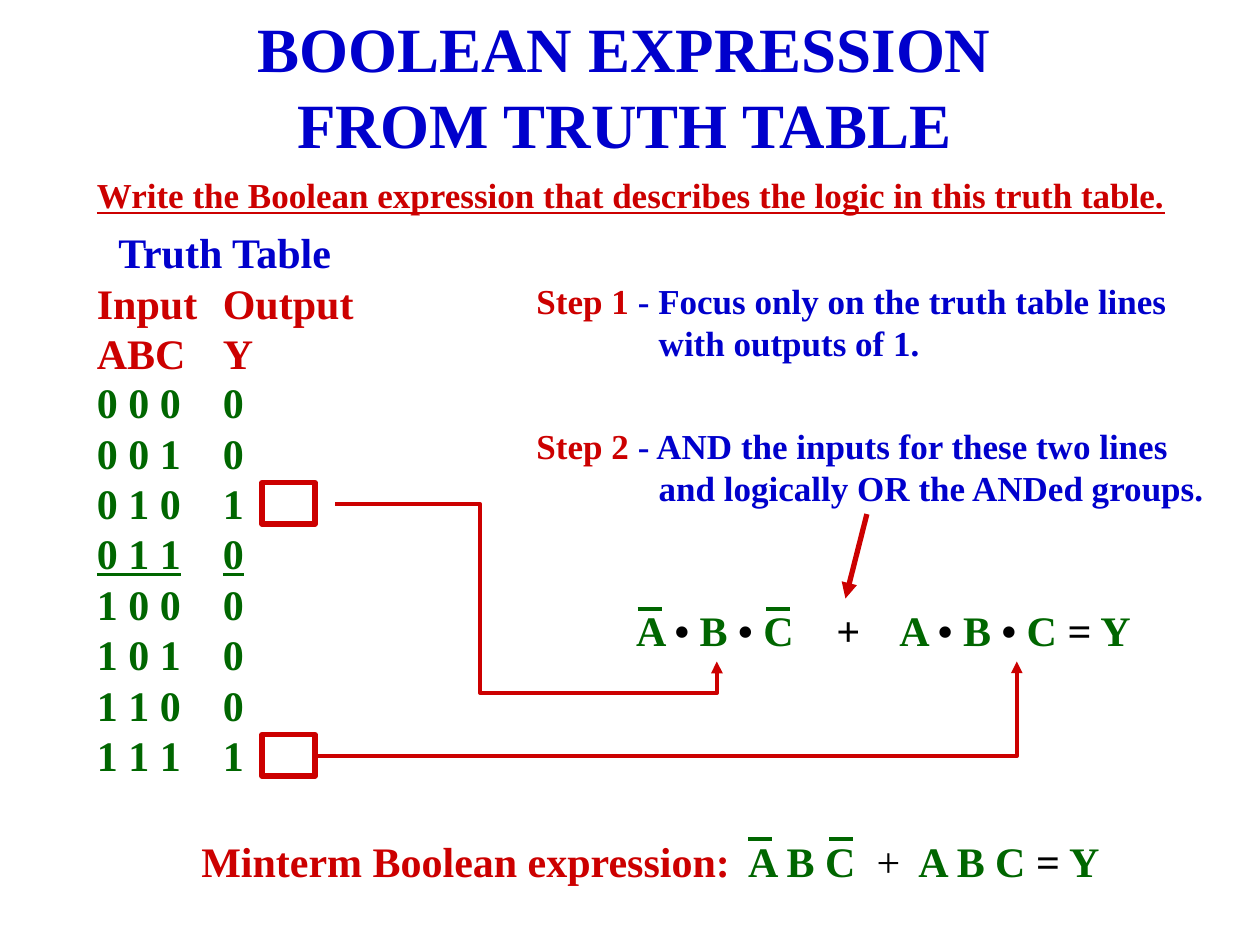
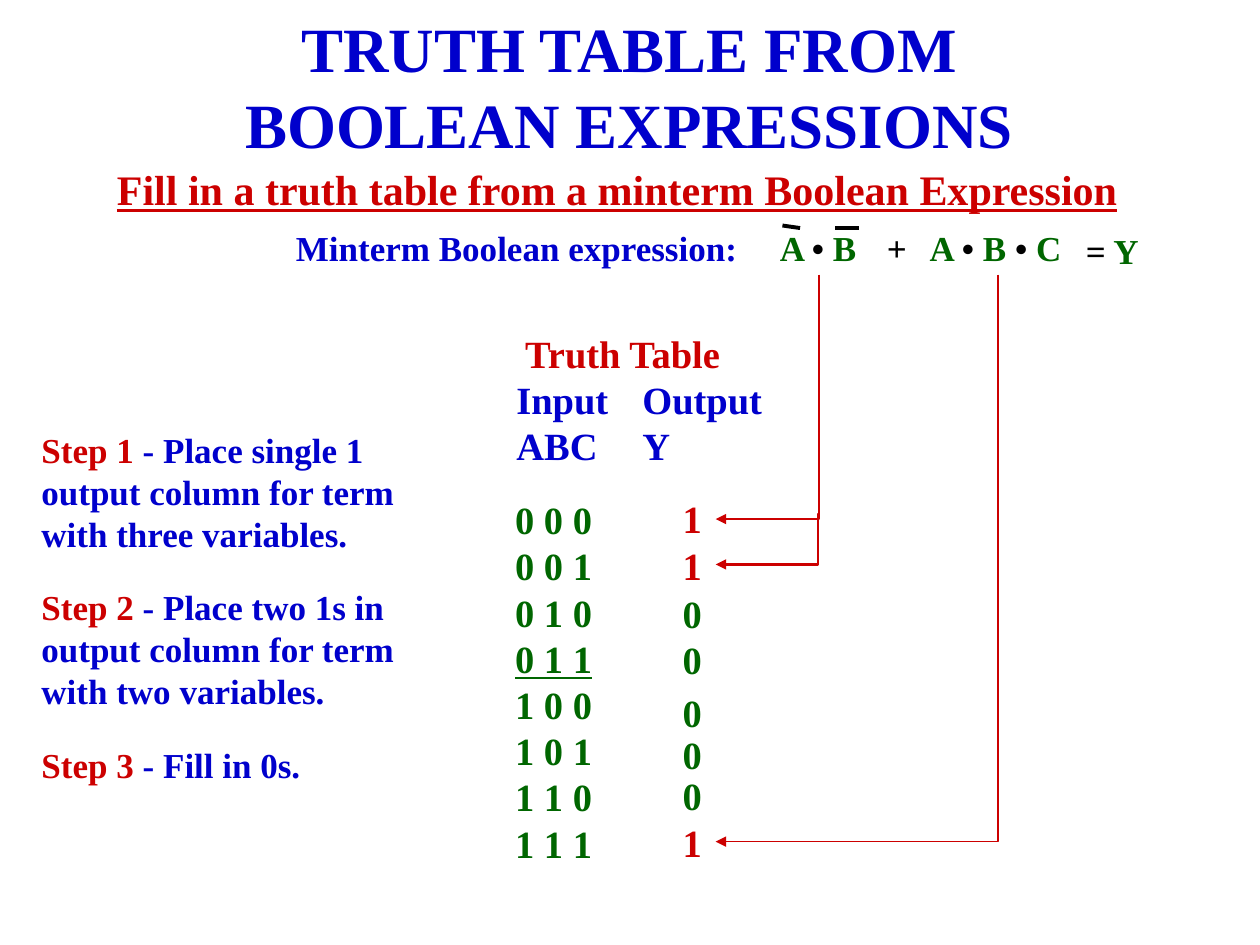
from itertools import product

from lxml import etree
from pptx import Presentation
from pptx.dml.color import RGBColor
from pptx.enum.shapes import MSO_CONNECTOR, MSO_SHAPE
from pptx.enum.text import MSO_AUTO_SIZE, PP_ALIGN
from pptx.oxml.ns import qn
from pptx.util import Inches, Pt

FONT = "Times New Roman"
BLUE, RED, GREEN, BLACK = "0000CC", "CC0000", "006600", "000000"
LEFT, CENTER = PP_ALIGN.LEFT, PP_ALIGN.CENTER
STRAIGHT, ELBOW = MSO_CONNECTOR.STRAIGHT, MSO_CONNECTOR.ELBOW
RECTANGLE = MSO_SHAPE.RECTANGLE
GROW = MSO_AUTO_SIZE.SHAPE_TO_FIT_TEXT
INPUTS = [" ".join(bits) for bits in product("01", repeat=3)]
UNDERLINED_ROW = 3


def rgb(value):
    return RGBColor.from_string(value)


def add_text(page, box, content, size=24, color=BLUE, bold=True, underline=False,
             align=LEFT, wrap=False, hang=0):
    """Content is a string, or a list of (text, color) spans."""
    frame = add_frame(page, box, wrap)
    spans = [(content, color)] if isinstance(content, str) else content
    write_para(frame.paragraphs[0], spans, size, bold, underline, align, left=hang, first=-hang)


def add_frame(page, box, wrap):
    frame = page.shapes.add_textbox(*map(Inches, box)).text_frame
    frame.word_wrap = wrap
    frame.auto_size = GROW
    return frame


def write_para(para, spans, size, bold=True, underline=False, align=LEFT,
               left=0, first=0, tab=None):
    para.alignment = align
    properties = para._p.get_or_add_pPr()
    properties.set("marL", str(Inches(left)))
    properties.set("indent", str(Inches(first)))
    if tab:
        stops = etree.SubElement(properties, qn("a:tabLst"))
        etree.SubElement(stops, qn("a:tab"), pos=str(Inches(tab)), algn="l")
    for text, color in spans:
        span = para.add_run()
        span.text = text
        span.font.name = FONT
        span.font.size = Pt(size)
        span.font.bold = bold
        span.font.underline = underline
        span.font.color.rgb = rgb(color)


def add_lines(page, box, lines, size, color):
    frame = add_frame(page, box, True)
    for index, (text, options) in enumerate(lines):
        para = frame.paragraphs[0] if index == 0 else frame.add_paragraph()
        write_para(para, [(text, options.pop("color", color))], size, **options)


def add_line(page, start, end, color=RED, width=2.25, kind=STRAIGHT, arrow=False):
    line = page.shapes.add_connector(kind, *map(Inches, (*start, *end)))
    line.line.color.rgb = rgb(color)
    line.line.width = Pt(width)
    properties = line._element.spPr
    if arrow:
        etree.SubElement(properties.find(qn("a:ln")), qn("a:tailEnd"), type="triangle")
    etree.SubElement(properties, qn("a:effectLst"))
    return line


def add_elbow(page, start, end, preset, width=2.25, turns=0, adjust=()):
    middle_x, middle_y = (start[0] + end[0]) / 2, (start[1] + end[1]) / 2
    half_x, half_y = start[0] - middle_x, start[1] - middle_y
    for _ in range(turns):
        half_x, half_y = half_y, -half_x
    line = add_line(page, (middle_x + half_x, middle_y + half_y),
                    (middle_x - half_x, middle_y - half_y), width=width, kind=ELBOW, arrow=True)
    properties = line._element.spPr
    if turns:
        properties.find(qn("a:xfrm")).set("rot", str(turns * 90 * 60000))
    geometry = properties.find(qn("a:prstGeom"))
    geometry.set("prst", preset)
    guides = geometry.find(qn("a:avLst"))
    for number, share in enumerate(adjust, 1):
        etree.SubElement(guides, qn("a:gd"), name=f"adj{number}" if len(adjust) > 1 else "adj1",
                         fmla=f"val {round(share * 100000)}")


def add_title(page, left, width, title):
    add_text(page, (left, 0.03, width, 1.3), title, size=36, align=CENTER, wrap=True)


def add_step(page, box, label, text, hang=0):
    add_text(page, box, [(label + " ", RED), (text, BLUE)], size=20, wrap=True, hang=hang)


def add_term(page, box, term, size=24, bold=True):
    spans = [(mark, BLACK if mark in "•+=" else GREEN) for mark in term]
    add_text(page, box, spans, size=size, bold=bold)


def add_bar(page, left, top, color, length=0.19, drop=0):
    add_line(page, (left, top), (left + length, top + drop), color=color)


def add_table_head(page, box, size, caption_color, head_color, indent, output_tab, y_tab):
    lines = [("Truth Table", {"left": indent, "color": caption_color}),
             ("Input\tOutput", {"tab": output_tab}),
             ("ABC\tY", {"tab": y_tab})]
    add_lines(page, box, lines, size, head_color)


def add_table_rows(page, box, size, outputs, tab):
    lines = []
    for index, (bits, output) in enumerate(zip(INPUTS, outputs)):
        underline = index == UNDERLINED_ROW
        text = f"{bits}\t{output}" if output or underline else bits
        lines.append((text, {"tab": tab, "underline": underline}))
    add_lines(page, box, lines, size, GREEN)


def add_output_frame(page, top):
    frame = page.shapes.add_shape(RECTANGLE, *map(Inches, (2.08, top, 0.42, 0.33)))
    frame.shadow.inherit = False
    frame.fill.background()
    frame.line.color.rgb = rgb(RED)
    frame.line.width = Pt(3)


def add_anded_groups(page, left, top):
    add_term(page, (left, top, 1.47, 0.5), "A • B • C")
    add_term(page, (left + 2.09, top, 2.06, 0.5), "A • B • C = Y")
    add_term(page, (left + 1.59, top, 0.39, 0.5), "+")
    for offset in (0.11, 1.13):
        add_bar(page, left + offset, top + 0.08, GREEN)


def add_minterm_line(page, left, top):
    add_text(page, (left, top, 4.4, 0.5), "Minterm Boolean expression:", color=RED)
    add_term(page, (left + 4.34, top, 1.07, 0.5), "A B C")
    add_term(page, (left + 5.69, top, 1.67, 0.5), "A B C = Y")
    add_term(page, (left + 5.36, top, 0.39, 0.5), "+", bold=False)
    for offset in (4.44, 5.08):
        add_bar(page, left + offset, top + 0.08, GREEN)


def add_given_expression(page, left, top):
    add_text(page, (left, top, 3.71, 0.44), "Minterm Boolean expression:", size=20)
    terms = [(3.84, 0, 0.82, "A • B"), (4.69, 0, 0.36, "+"),
             (5.03, 0, 1.28, "A • B • C"), (6.27, 0.02, 0.63, "= Y")]
    for offset, drop, width, term in terms:
        add_term(page, (left + offset, top + drop, width, 0.44), term, size=20)
    add_bar(page, left + 3.96, top + 0.04, BLACK, length=0.14, drop=0.02)
    add_bar(page, left + 4.38, top + 0.06, BLACK)


def add_outputs(page, left, outputs, tops):
    for output, top in zip(outputs, tops):
        color = RED if output == "1" else GREEN
        add_text(page, (left, top, 0.35, 0.47), output, size=22, color=color)


def build_expression_slide(page):
    add_title(page, 1.56, 6.79, "BOOLEAN EXPRESSION FROM TRUTH TABLE")
    add_text(page, (0.67, 1.33, 8.75, 0.44),
             "Write the Boolean expression that describes the logic in this truth table.",
             size=20, color=RED, underline=True, wrap=True)
    add_table_head(page, (0.67, 1.75, 2.35, 1.3), 24, BLUE, RED, 0.17, 1.05, 1.36)
    add_table_rows(page, (0.67, 2.94, 1.86, 3.3), 24, "00100001", 1.41)
    for top in (3.83, 5.83):
        add_output_frame(page, top)
    add_step(page, (4.16, 2.17, 5.53, 0.77), "Step 1",
             "- Focus only on the truth table lines with outputs of 1.", hang=0.97)
    add_step(page, (4.16, 3.32, 5.53, 0.77), "Step 2",
             "- AND the inputs for these two lines and logically OR the ANDed groups.", hang=0.97)
    add_elbow(page, (2.66, 4), (5.69, 5.25), "bentConnector4", adjust=(0.38, 1.2))
    add_elbow(page, (2.52, 6), (8.07, 5.25), "bentConnector2")
    add_anded_groups(page, 4.95, 4.75)
    add_minterm_line(page, 1.5, 6.58)
    add_line(page, (6.88, 4.08), (6.71, 4.75), width=3, arrow=True)


def build_table_slide(page):
    add_title(page, 1.33, 7.33, "TRUTH TABLE FROM BOOLEAN EXPRESSIONS")
    add_text(page, (0.83, 1.25, 8.15, 0.5),
             "Fill in a truth table from a minterm Boolean Expression", color=RED, underline=True)
    add_given_expression(page, 2.25, 1.75)
    add_table_head(page, (4, 2.57, 2.25, 1.2), 22, RED, BLUE, 0.07, 0.96, 1.24)
    add_table_rows(page, (3.99, 3.89, 1.75, 3.04), 22, [""] * 8, 1.45)
    add_outputs(page, 5.32, "11000001", (3.88, 4.25, 4.63, 5, 5.42, 5.75, 6.08, 6.45))
    steps = [(3.35, "Step 1", "- Place single 1 output column for term with three variables."),
             (4.6, "Step 2", "- Place two 1s in output column for term with two variables."),
             (5.85, "Step 3", "- Fill in 0s.")]
    for top, label, text in steps:
        add_step(page, (0.23, top, 3.18, 0.44), label, text)
    add_elbow(page, (7.92, 2.18), (5.68, 6.68), "bentConnector2", width=0.75, turns=1)
    add_elbow(page, (6.5, 2.18), (5.68, 4.12), "bentConnector2", width=1.5, turns=1)
    add_elbow(page, (6.5, 4.08), (5.68, 4.48), "bentConnector3", width=1.5, turns=2,
              adjust=(0.01,))


def main():
    deck = Presentation()
    deck.slide_width, deck.slide_height = Inches(10), Inches(7.5)
    for build in (build_expression_slide, build_table_slide):
        build(deck.slides.add_slide(deck.slide_layouts[6]))
    deck.save("out.pptx")


if __name__ == "__main__":
    main()
